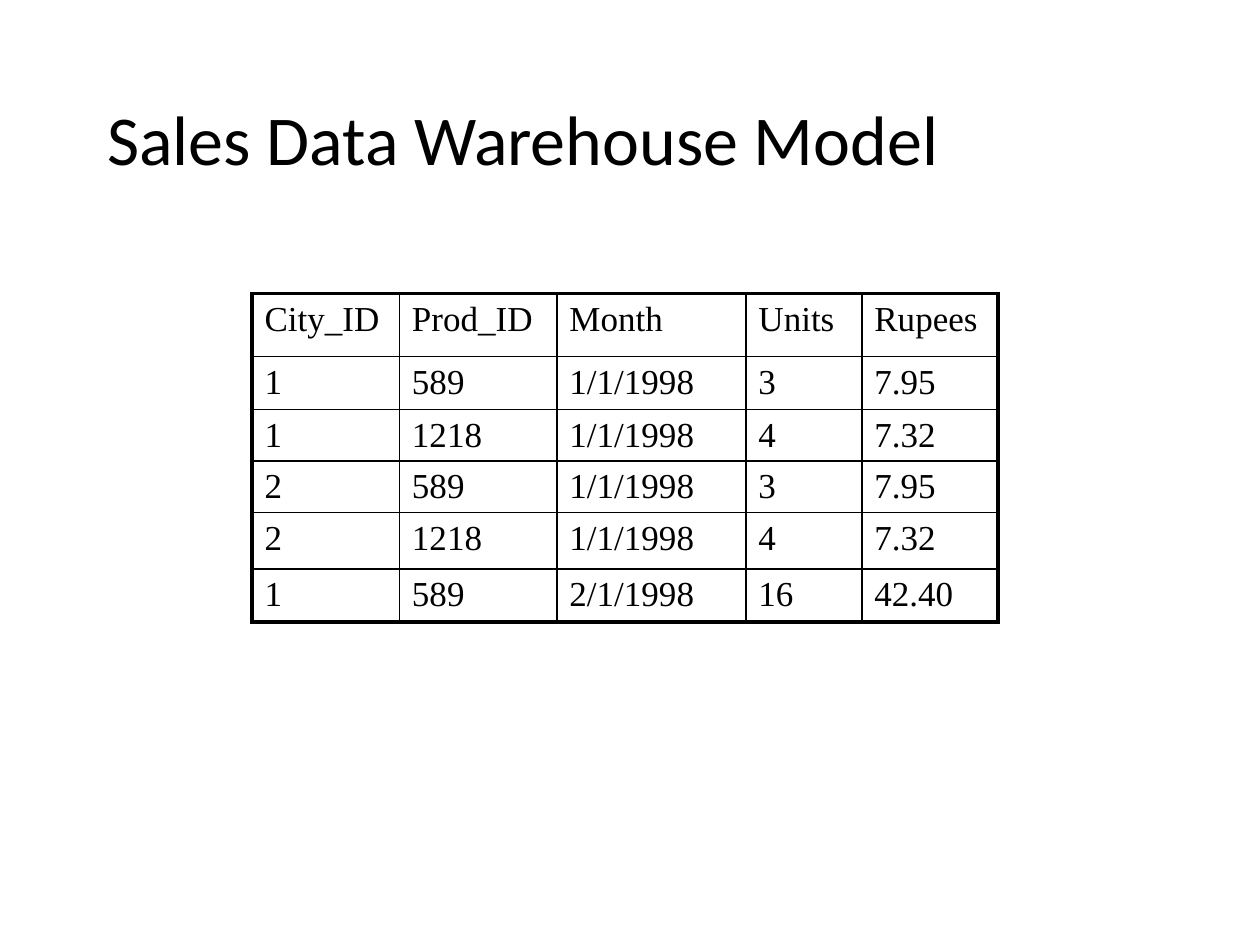
from dataclasses import dataclass

from lxml.etree import SubElement
from pptx import Presentation
from pptx.dml.color import RGBColor
from pptx.enum.text import MSO_ANCHOR, PP_ALIGN
from pptx.oxml.ns import qn
from pptx.util import Inches, Pt

COLORS = {"ink": "000000"}
OUTER, INNER = 2.25, 1


@dataclass(frozen=True)
class Column:
    header: str
    width: float
    values: tuple[str, ...]


COLUMNS = (
    Column("City_ID", 1.17, ("1", "1", "2", "2", "1")),
    Column("Prod_ID", 1.25, ("589", "1218", "589", "1218", "589")),
    Column("Month", 1.5, ("1/1/1998",) * 4 + ("2/1/1998",)),
    Column("Units", 0.92, ("3", "4", "3", "4", "16")),
    Column("Rupees", 1.08, ("7.95", "7.32", "7.95", "7.32", "42.40")),
)
ROW_HEIGHTS = (0.5, 0.42, 0.4, 0.39, 0.45, 0.42)


def write(tf, text: str, *, size: float, font: str, color: str = "ink",
          spacing: float = 1.0, anchor=MSO_ANCHOR.TOP) -> None:
    tf.vertical_anchor = anchor
    p = tf.paragraphs[0]
    p.alignment = PP_ALIGN.LEFT
    p.line_spacing = spacing
    r = p.add_run()
    r.text = text
    r.font.size = Pt(size)
    r.font.name = font
    r.font.bold = False
    r.font.color.rgb = RGBColor.from_string(COLORS[color])


def set_borders(cell, widths: dict[str, float]) -> None:
    tc_pr = cell._tc.get_or_add_tcPr()
    for i, (side, width) in enumerate(widths.items()):
        ln = tc_pr.makeelement(qn(f"a:{side}"), {"w": str(Pt(width))})
        fill = SubElement(ln, qn("a:solidFill"))
        SubElement(fill, qn("a:srgbClr"), val=COLORS["ink"])
        tc_pr.insert(i, ln)


def add_sales_table(s, left: float, top: float) -> None:
    last_row, last_col = len(ROW_HEIGHTS) - 1, len(COLUMNS) - 1
    table = s.shapes.add_table(
        len(ROW_HEIGHTS), len(COLUMNS), Inches(left), Inches(top),
        Inches(sum(c.width for c in COLUMNS)), Inches(sum(ROW_HEIGHTS)),
    ).table
    table.first_row = table.horz_banding = False
    for row, height in zip(table.rows, ROW_HEIGHTS):
        row.height = Inches(height)
    for j, column in enumerate(COLUMNS):
        table.columns[j].width = Inches(column.width)
        for i, text in enumerate((column.header, *column.values)):
            cell = table.cell(i, j)
            cell.fill.background()
            write(cell.text_frame, text, size=20, font="Times New Roman")
            set_borders(cell, {
                "lnL": OUTER if j == 0 else INNER,
                "lnR": OUTER if j == last_col else INNER,
                "lnT": OUTER if i == 0 else INNER,
                "lnB": OUTER if i == last_row else INNER,
            })


def main() -> None:
    prs = Presentation()
    prs.slide_width, prs.slide_height = Inches(10), Inches(7.5)
    s = prs.slides.add_slide(prs.slide_layouts[5])
    title = s.shapes.title
    title.left, title.top = Inches(0.75), Inches(0.67)
    title.width, title.height = Inches(8.5), Inches(0.92)
    write(title.text_frame, "Sales Data Warehouse Model", size=40,
          font="Calibri", spacing=0.9, anchor=MSO_ANCHOR.MIDDLE)
    add_sales_table(s, 2, 2.33)
    prs.save("out.pptx")


if __name__ == "__main__":
    main()
